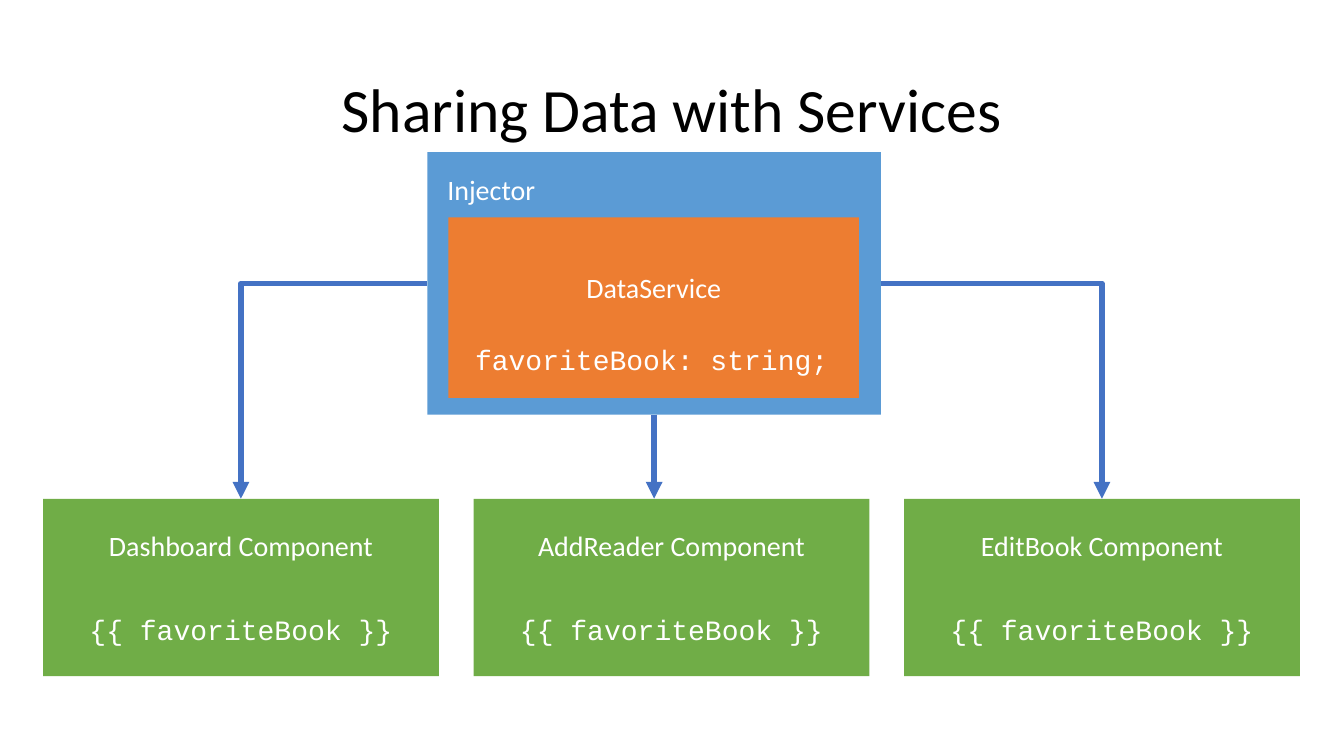
"""Build the slide on sharing data between components through an injected service."""
import pptx
import pptx.dml.color
import pptx.enum.shapes
import pptx.enum.text
import pptx.oxml.ns
import pptx.util
from lxml import etree

PX = 9525
BLACK = pptx.dml.color.RGBColor(0x00, 0x00, 0x00)
WHITE = pptx.dml.color.RGBColor(0xFF, 0xFF, 0xFF)
BLUE = pptx.dml.color.RGBColor(0x5B, 0x9B, 0xD5)
ORANGE = pptx.dml.color.RGBColor(0xED, 0x7D, 0x31)
GREEN = pptx.dml.color.RGBColor(0x70, 0xAD, 0x47)
ARROW_BLUE = pptx.dml.color.RGBColor(0x44, 0x72, 0xC4)
LEFT = pptx.enum.text.PP_ALIGN.LEFT
CENTER = pptx.enum.text.PP_ALIGN.CENTER
TOP = pptx.enum.text.MSO_ANCHOR.TOP
MIDDLE = pptx.enum.text.MSO_ANCHOR.MIDDLE
CONNECTOR = pptx.enum.shapes.MSO_CONNECTOR


def write(shape, *lines, fonts=("Calibri",), size=20, color=WHITE, align=LEFT,
          anchor=TOP, inset=None, gap=0, spacing=None):
    """Write one paragraph per line, each in its own font, with a gap between them."""
    frame = shape.text_frame
    frame.word_wrap = True
    frame.vertical_anchor = anchor
    if inset is not None:
        frame.margin_left = frame.margin_right = inset * PX
        frame.margin_top = frame.margin_bottom = inset * PX
    frame.text = "\n".join(lines)
    for index, (paragraph, font) in enumerate(zip(frame.paragraphs, fonts)):
        paragraph.alignment = align
        paragraph.line_spacing = spacing
        if index:
            paragraph.space_before = pptx.util.Pt(gap)
        paragraph.font.name = font
        paragraph.font.size = pptx.util.Pt(size)
        paragraph.font.color.rgb = color


def add_block(shapes, left, top, width, height, fill):
    """Add a plain filled rectangle."""
    block = shapes.add_shape(pptx.enum.shapes.MSO_SHAPE.RECTANGLE,
                             left * PX, top * PX, width * PX, height * PX)
    block.shadow.inherit = False
    block.fill.solid()
    block.fill.fore_color.rgb = fill
    block.line.fill.background()
    return block


deck = pptx.Presentation()
deck.slide_width, deck.slide_height = 1280 * PX, 720 * PX
slide = deck.slides.add_slide(deck.slide_layouts[5])

title = slide.shapes.title
title.left, title.top, title.width, title.height = 88 * PX, 38 * PX, 1104 * PX, 139 * PX
write(title, "Sharing Data with Services", size=44, color=BLACK,
      align=CENTER, anchor=MIDDLE, spacing=0.9)

injector = add_block(slide.shapes, 407, 145, 432, 250, BLUE)
write(injector, "Injector", inset=19)

service = slide.shapes.add_group_shape()
add_block(service.shapes, 427, 207, 391, 172, ORANGE)
service_name = service.shapes.add_textbox(549 * PX, 253 * PX, 182 * PX, 42 * PX)
write(service_name, "DataService")
service_field = slide.shapes.add_textbox(443 * PX, 321 * PX, 359 * PX, 42 * PX)
write(service_field, "favoriteBook: string;", fonts=("Courier New",))

components = []
for column, name in enumerate(("Dashboard", "AddReader", "EditBook")):
    component = add_block(slide.shapes, 41 + 410 * column, 475, 377, 169, GREEN)
    write(component, f"{name} Component", "{{ favoriteBook }}",
          fonts=("Calibri", "Courier New"), align=CENTER, anchor=MIDDLE, inset=19, gap=36)
    components.append(component)
dashboard, add_reader, edit_book = components

injector_middle = injector.left + injector.width // 2
for kind, side, target in ((CONNECTOR.ELBOW, 1, dashboard),
                           (CONNECTOR.ELBOW, 3, edit_book),
                           (CONNECTOR.STRAIGHT, 2, None)):
    arrow = slide.shapes.add_connector(kind, injector_middle, injector.top + injector.height,
                                       injector_middle, add_reader.top)
    arrow.begin_connect(injector, side)
    properties = arrow._element.spPr
    if target is not None:
        arrow.end_connect(target, 0)
        properties.find(pptx.oxml.ns.qn("a:prstGeom")).set("prst", "bentConnector2")
    arrow.line.color.rgb = ARROW_BLUE
    arrow.line.width = pptx.util.Pt(4)
    line = properties.find(pptx.oxml.ns.qn("a:ln"))
    etree.SubElement(line, pptx.oxml.ns.qn("a:tailEnd"), type="triangle")
    etree.SubElement(properties, pptx.oxml.ns.qn("a:effectLst"))

deck.save("out.pptx")
